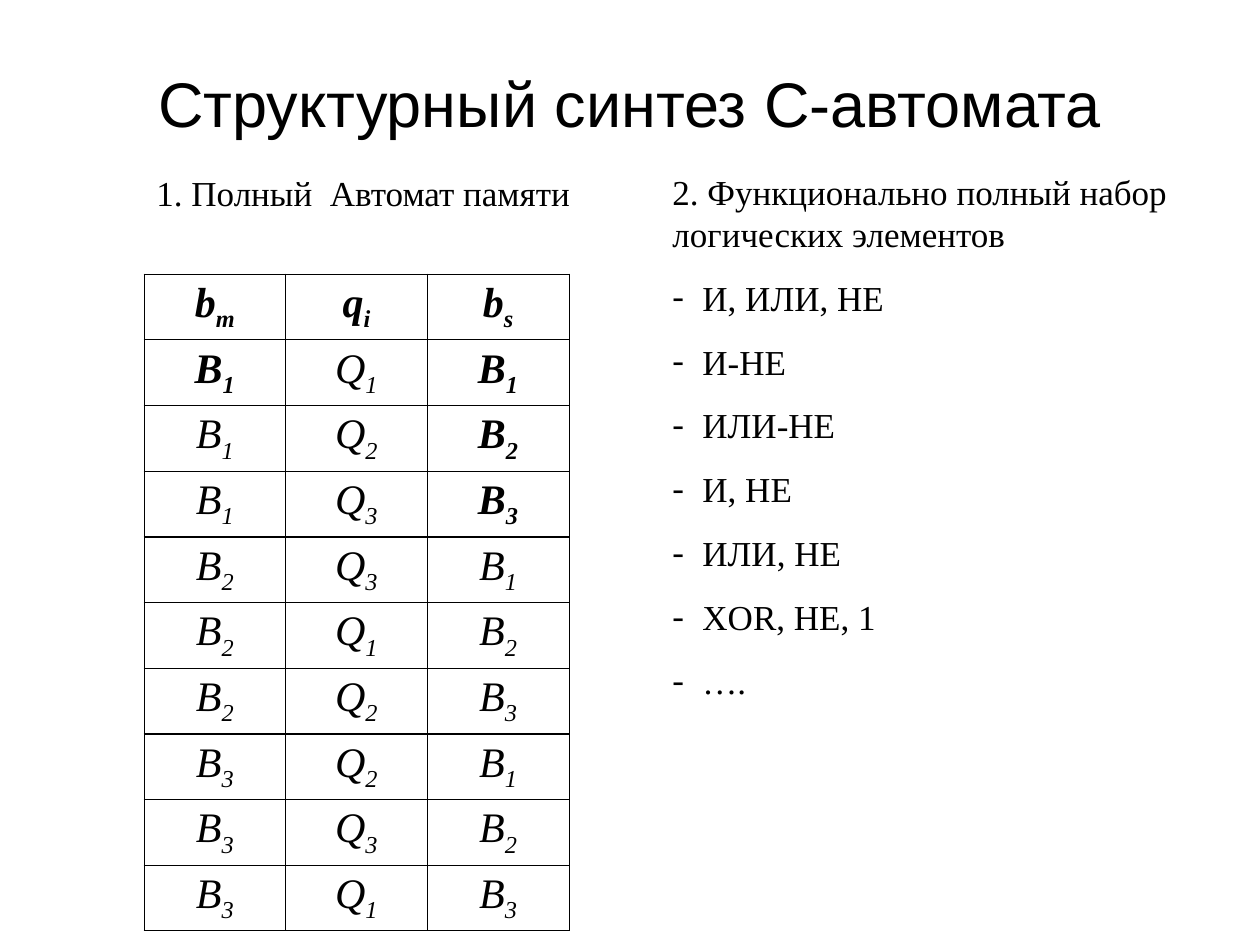
from dataclasses import dataclass

from lxml.etree import SubElement
from pptx import Presentation
from pptx.dml.color import RGBColor
from pptx.enum.text import MSO_ANCHOR as Anchor, PP_ALIGN as Align
from pptx.oxml.ns import qn
from pptx.util import Emu, Pt

PX = 914400 // 126


@dataclass(frozen=True)
class Theme:
    ink: str = "000000"
    paper: str = "FFFFFF"
    title_font: str = "Arial"
    body_font: str = "Times New Roman"
    title_size: int = 36
    body_size: int = 20
    table_size: int = 24
    gap: float = 12.5
    thin: float = 0.45
    thick: float = 1.08


THEME = Theme()

# Letter plus subscript; a star marks a bold entry
TRANSITIONS = [
    "bm* qi* bs*",
    "B1* Q1 B1*",
    "B1 Q2 B2*",
    "B1 Q3 B3*",
    "B2 Q3 B1",
    "B2 Q1 B2",
    "B2 Q2 B3",
    "B3 Q2 B1",
    "B3 Q3 B2",
    "B3 Q1 B3",
]
GROUP_SIZE = 3
LOGIC_SETS = ["И, ИЛИ, НЕ", "И-НЕ", "ИЛИ-НЕ", "И, НЕ", "ИЛИ, НЕ", "XOR, НЕ, 1", "…."]


def px(*lengths):
    return [Emu(length * PX) for length in lengths]


def assign(target, **values):
    for name, value in values.items():
        setattr(target, name, value)


def style(font, face, size, **extra):
    assign(font, name=face, size=Pt(size), **extra)
    font.color.rgb = RGBColor.from_string(THEME.ink)


def add_dash(paragraph):
    indent = 30 * PX
    properties = paragraph._p.get_or_add_pPr()
    properties.set("marL", str(indent))
    properties.set("indent", str(-indent))
    SubElement(properties, qn("a:buFont")).set("typeface", THEME.body_font)
    SubElement(properties, qn("a:buChar")).set("char", "-")


def add_text(slide, box, lines, face, size, align=Align.LEFT, anchor=Anchor.TOP):
    """Write a text box whose lines after the first are a dashed list."""
    frame = slide.shapes.add_textbox(*px(*box)).text_frame
    assign(frame, word_wrap=True, vertical_anchor=anchor)
    for number, line in enumerate(lines):
        paragraph = frame.add_paragraph() if number else frame.paragraphs[0]
        paragraph.alignment = align
        if number:
            paragraph.space_before = Pt(THEME.gap)
            add_dash(paragraph)
        run = paragraph.add_run()
        run.text = line
        style(run.font, face, size)


def set_borders(cell, top, bottom):
    properties = cell._tc.get_or_add_tcPr()
    widths = {"a:lnL": THEME.thin, "a:lnR": THEME.thin, "a:lnT": top, "a:lnB": bottom}
    for tag, width in widths.items():
        line = SubElement(properties, qn(tag), w=str(Pt(width)))
        fill = SubElement(line, qn("a:solidFill"))
        SubElement(fill, qn("a:srgbClr")).set("val", THEME.ink)


def write_symbol(cell, symbol):
    # No bottom margin: the subscript already deepens the line
    side, top, bottom = px(1, 6, 0)
    assign(cell, margin_left=side, margin_right=side, margin_top=top, margin_bottom=bottom)
    paragraph = cell.text_frame.paragraphs[0]
    paragraph.alignment = Align.CENTER
    for text, baseline in ((symbol[0], 0), (symbol[1], -25000)):
        run = paragraph.add_run()
        run.text = text
        style(run.font, THEME.body_font, THEME.table_size,
              bold=symbol.endswith("*"), italic=True)
        if baseline:
            run._r.get_or_add_rPr().set("baseline", str(baseline))


def add_transitions(slide, box):
    rows = [line.split() for line in TRANSITIONS]
    table = slide.shapes.add_table(len(rows), len(rows[0]), *px(*box)).table
    assign(table, first_row=False, horz_banding=False)

    def rule_after(row):
        ends_group = row % GROUP_SIZE == 0 and 0 <= row < len(rows) - 1
        return THEME.thick if ends_group else THEME.thin

    for row, symbols in enumerate(rows):
        for column, symbol in enumerate(symbols):
            cell = table.cell(row, column)
            write_symbol(cell, symbol)
            set_borders(cell, rule_after(row - 1), rule_after(row))
            cell.fill.background()


def main():
    deck = Presentation()
    deck.slide_width, deck.slide_height = px(1260, 945)
    slide = deck.slides.add_slide(deck.slide_layouts[6])
    slide.background.fill.solid()
    slide.background.fill.fore_color.rgb = RGBColor.from_string(THEME.paper)

    # Title
    add_text(slide, (63, 37, 1134, 130), ["Структурный синтез С-автомата"],
             THEME.title_font, THEME.title_size, Align.CENTER, Anchor.MIDDLE)

    # Memory automaton
    add_transitions(slide, (144, 274, 425, 657))
    add_text(slide, (144, 165, 444, 55), ["1. Полный  Автомат памяти"],
             THEME.body_font, THEME.body_size)

    # Complete sets of logic elements
    heading = "2. Функционально полный набор логических элементов"
    add_text(slide, (660, 164, 536, 586), [heading, *LOGIC_SETS],
             THEME.body_font, THEME.body_size)

    deck.save("out.pptx")


if __name__ == "__main__":
    main()
